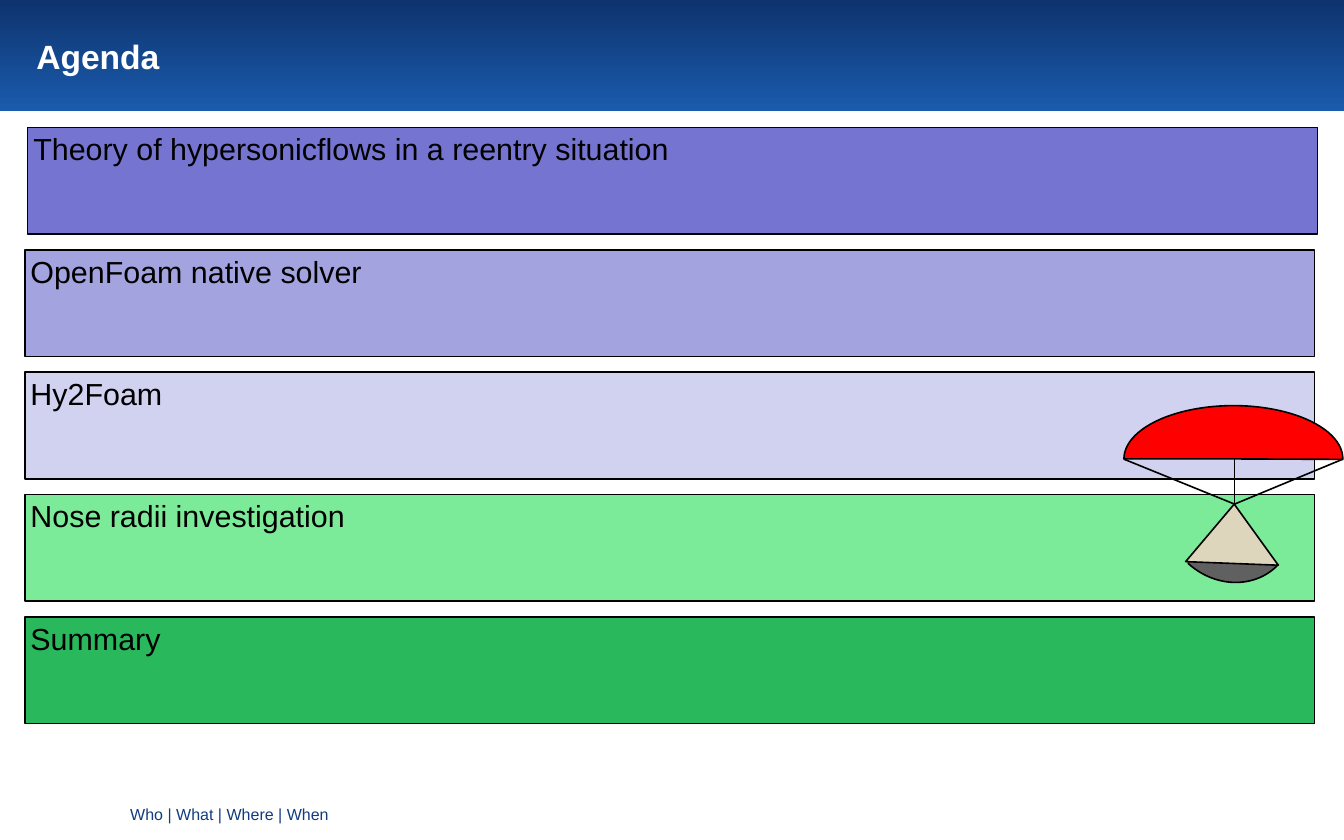
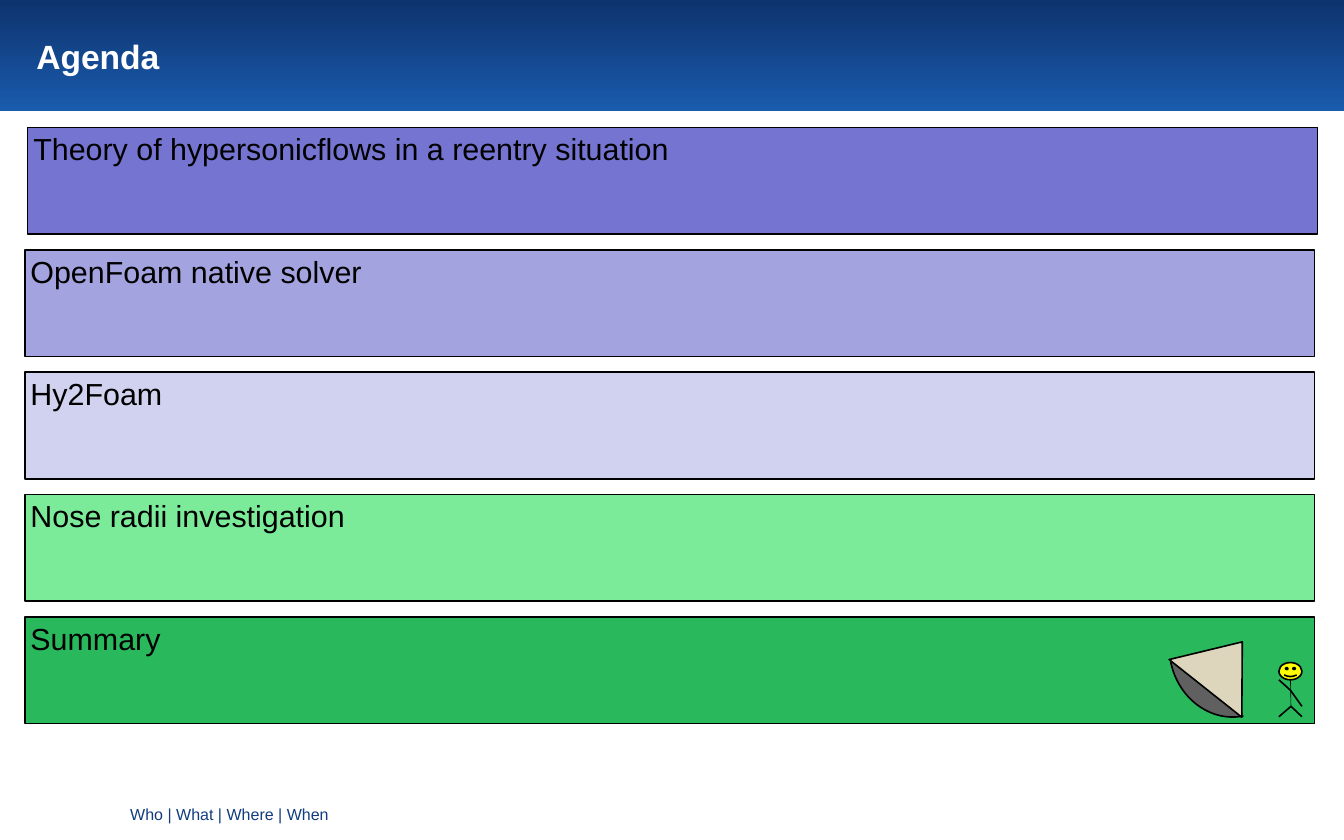
from dataclasses import dataclass

from lxml import etree
from pptx import Presentation
from pptx.dml.color import RGBColor
from pptx.enum.shapes import MSO_CONNECTOR, MSO_SHAPE
from pptx.enum.text import MSO_ANCHOR, PP_ALIGN
from pptx.oxml.ns import qn
from pptx.util import Inches, Pt

RECTANGLE = MSO_SHAPE.RECTANGLE
PROCESS = MSO_SHAPE.FLOWCHART_PROCESS
ARC = MSO_SHAPE.ARC
TRIANGLE = MSO_SHAPE.ISOSCELES_TRIANGLE
PIE = MSO_SHAPE.PIE
SMILEY = MSO_SHAPE.SMILEY_FACE
STRAIGHT = MSO_CONNECTOR.STRAIGHT
LEFT = PP_ALIGN.LEFT
TOP, MIDDLE = MSO_ANCHOR.TOP, MSO_ANCHOR.MIDDLE

FONT = "Arial"
BLACK, WHITE = "000000", "FFFFFF"
BAND_TOP_BLUE, BAND_BOTTOM_BLUE = "0E336E", "1A5BAD"
FOOTER_BLUE = "113C7D"
CANOPY_RED, FACE_YELLOW = "FF0000", "FFFF00"
SHIELD_GREY, HULL_BEIGE = "606060", "DED6BC"

SLIDE_WIDTH, SLIDE_HEIGHT = 23.33, 14.58
BAR_LEFT, BAR_WIDTH, BAR_HEIGHT = 0.43, 22.39, 1.85
FIRST_BAR_TOP, LAST_BAR_TOP = 2.21, 10.71


@dataclass(frozen=True)
class Topic:
    """One bar of the agenda."""

    label: str
    color: str
    shift: float = 0


@dataclass(frozen=True)
class Part:
    """One outlined piece of a drawing."""

    preset: int
    box: tuple[float, float, float, float]
    color: str
    rotation: float = 0


@dataclass(frozen=True)
class Stroke:
    """One straight line of a drawing."""

    start: tuple[float, float]
    end: tuple[float, float]
    weight: float = 2


TOPICS = (
    Topic("Theory of hypersonicflows in a reentry situation", "7575D1", 0.05),
    Topic("OpenFoam native solver", "A3A3E0"),
    Topic("Hy2Foam", "D1D1F0"),
    Topic("Nose radii investigation", "7CEB99"),
    Topic("Summary", "29B95C"),
)

DESCENDING_CAPSULE = (
    Part(ARC, (20.28, 7.83, 2.11, 2.34), SHIELD_GREY, 132.7),
    Part(TRIANGLE, (20.6, 8.75, 1.61, 1.03), HULL_BEIGE, 2.2),
)
LANDED_CAPSULE = (
    Part(ARC, (20.3, 10.11, 2.11, 2.34), SHIELD_GREY, 168.8),
    Part(TRIANGLE, (20.44, 11.03, 1.61, 1.03), HULL_BEIGE, 38.4),
)
CANOPY = Part(PIE, (19.51, 7.04, 3.8, 1.85), CANOPY_RED, 180)
FACE = Part(SMILEY, (22.2, 11.5, 0.4, 0.3), FACE_YELLOW)

CAPSULE_TIP = (21.43, 8.75)
CORDS = tuple(Stroke((x, 7.97), CAPSULE_TIP) for x in (23.31, 19.51, 21.43))

HIP, SHOULDER = (22.41, 12.26), (22.4, 11.98)
BODY = (
    Stroke((22.4, 11.8), HIP, 0.75),
    Stroke(HIP, (22.6, 12.44)),
    Stroke(HIP, (22.2, 12.44)),
    Stroke(SHOULDER, (22.2, 11.8)),
    Stroke(SHOULDER, (22.6, 12.26)),
)


def rgb(color: str) -> RGBColor:
    """Turn a hex string into a colour."""
    return RGBColor.from_string(color)


def write(shape, text: str, *, size: float, color: str = BLACK, bold: bool = False,
          anchor=TOP, insets: tuple[float, float, float, float] = (0, 0, 0, 0)) -> None:
    """Put one formatted paragraph into a shape; insets run left, top, right, bottom."""
    frame = shape.text_frame
    frame.word_wrap = True
    frame.vertical_anchor = anchor
    (frame.margin_left, frame.margin_top,
     frame.margin_right, frame.margin_bottom) = map(Inches, insets)
    paragraph = frame.paragraphs[0]
    paragraph.alignment = LEFT
    run = paragraph.add_run()
    run.text = text
    run.font.name = FONT
    run.font.size = Pt(size)
    run.font.bold = bold
    run.font.color.rgb = rgb(color)


def draw_part(shapes, part: Part):
    """Draw a filled preset shape with a black outline."""
    shape = shapes.add_shape(part.preset, *map(Inches, part.box))
    shape.shadow.inherit = False
    shape.rotation = part.rotation
    shape.fill.solid()
    shape.fill.fore_color.rgb = rgb(part.color)
    shape.line.color.rgb = rgb(BLACK)
    shape.line.width = Pt(2)
    return shape


def draw_stroke(shapes, stroke: Stroke) -> None:
    """Draw a black straight line without a shadow."""
    line = shapes.add_connector(STRAIGHT, *map(Inches, stroke.start + stroke.end))
    line.line.color.rgb = rgb(BLACK)
    line.line.width = Pt(stroke.weight)
    etree.SubElement(line._element.spPr, qn("a:effectLst"))


def draw_capsule(shapes, parts: tuple[Part, ...]) -> None:
    """Draw the parts of a capsule as one group."""
    capsule = shapes.add_group_shape()
    for part in parts:
        draw_part(capsule.shapes, part)


def draw_title_band(shapes, title: str) -> None:
    """Draw the gradient band that holds the slide title."""
    band = shapes.add_shape(RECTANGLE, 0, 0, Inches(23.36), Inches(1.93))
    band.shadow.inherit = False
    band.line.fill.background()
    band.fill.gradient()
    band.fill.gradient_angle = 270
    for stop, color in zip(band.fill.gradient_stops, (BAND_TOP_BLUE, BAND_BOTTOM_BLUE)):
        stop.color.rgb = rgb(color)
    write(band, title, size=42, color=WHITE, bold=True, anchor=MIDDLE,
          insets=(0.63, 0, 1.96, 0))


def add_agenda_slide(deck):
    """Add a slide with the title band, the topic bars and the footer."""
    slide = deck.slides.add_slide(deck.slide_layouts[6])
    shapes = slide.shapes
    footer = shapes.add_textbox(Inches(2.26), Inches(13.96), Inches(17.71), Inches(0.42))
    write(footer, "Who | What | Where | When", size=20, color=FOOTER_BLUE)
    draw_title_band(shapes, "Agenda")
    pitch = (LAST_BAR_TOP - FIRST_BAR_TOP) / (len(TOPICS) - 1)
    for index, topic in enumerate(TOPICS):
        box = (BAR_LEFT + topic.shift, FIRST_BAR_TOP + index * pitch, BAR_WIDTH, BAR_HEIGHT)
        bar = draw_part(shapes, Part(PROCESS, box, topic.color))
        write(bar, topic.label, size=38, insets=(0.1, 0.05, 0.1, 0.05))
    return slide


def add_descent_slide(deck) -> None:
    """Add the agenda with the capsule under its parachute."""
    shapes = add_agenda_slide(deck).shapes
    draw_capsule(shapes, DESCENDING_CAPSULE)
    canopy = draw_part(shapes, CANOPY)
    canopy.adjustments[0] = 0
    canopy.adjustments[1] = 108.14
    for cord in CORDS:
        draw_stroke(shapes, cord)


def add_landing_slide(deck) -> None:
    """Add the agenda with the landed capsule and a stick figure."""
    shapes = add_agenda_slide(deck).shapes
    draw_capsule(shapes, LANDED_CAPSULE)
    draw_part(shapes, FACE)
    for limb in BODY:
        draw_stroke(shapes, limb)


def main() -> None:
    """Build and save the presentation."""
    deck = Presentation()
    deck.slide_width = Inches(SLIDE_WIDTH)
    deck.slide_height = Inches(SLIDE_HEIGHT)
    add_descent_slide(deck)
    add_landing_slide(deck)
    deck.save("out.pptx")


if __name__ == "__main__":
    main()
